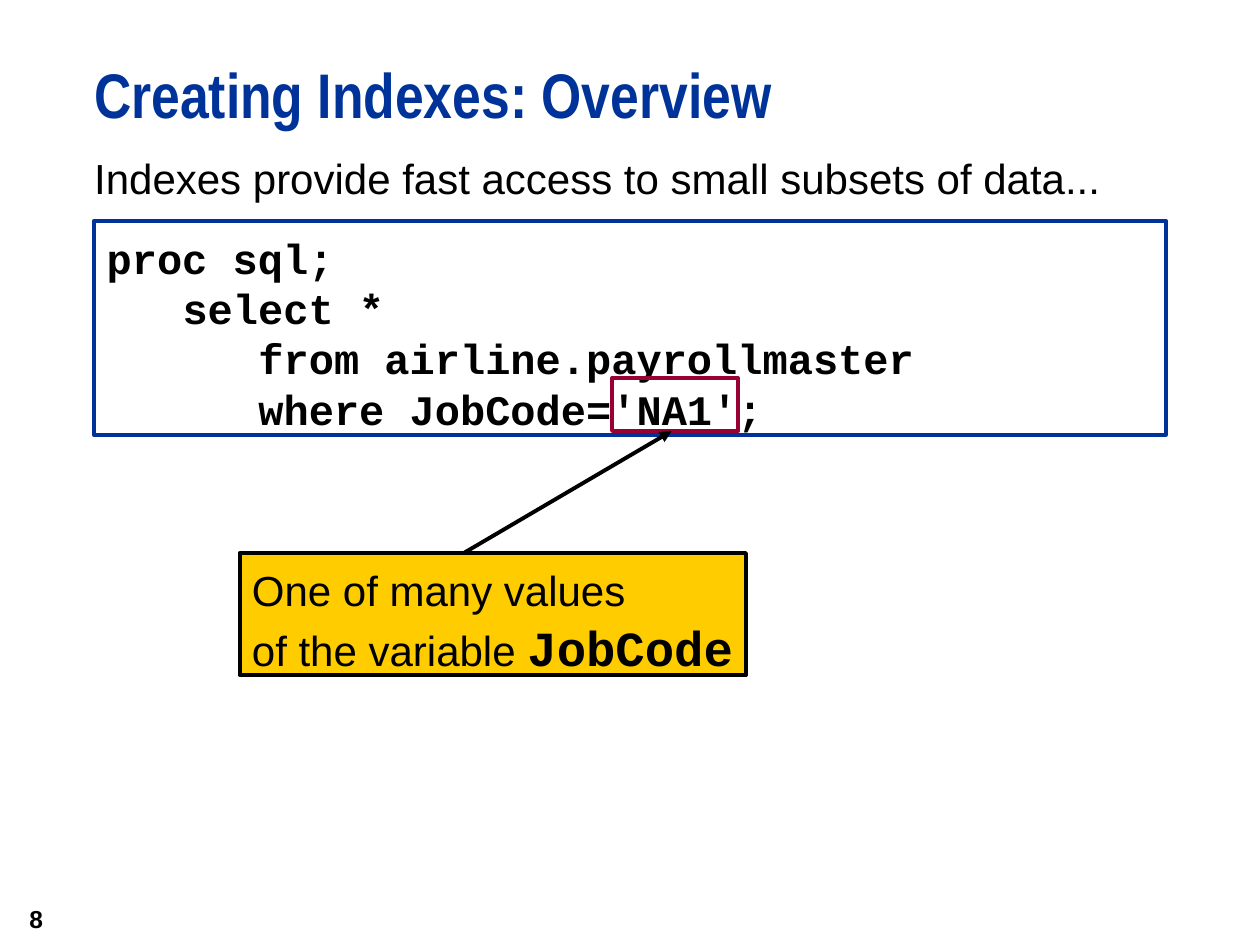
from dataclasses import dataclass
from typing import Optional

from pptx import Presentation
from pptx import util as u
from pptx.dml.color import RGBColor
from pptx.enum import shapes, text
from pptx.oxml.ns import qn
from lxml import etree

BLUE = RGBColor(0x00, 0x33, 0x99)
BLACK = RGBColor(0, 0, 0)
WHITE = RGBColor(255, 255, 255)
WINE = RGBColor(0x99, 0x00, 0x33)
GOLD = RGBColor(0xFF, 0xCC, 0x00)
SANS, MONO = "Arial", "Courier New"
RULE = u.Pt(2.24)
STEP = 0.51  # width of one code character in cm


@dataclass
class Run:
    words: str
    size: float = 24
    font: str = SANS
    bold: bool = False
    color: RGBColor = BLACK


@dataclass
class Box:
    x: float
    y: float
    w: float
    h: float
    line: Optional[RGBColor] = None
    fill: Optional[RGBColor] = None


def add_box(slide, box: Box):
    """Draw a plain text box, or a rectangle when it has a line."""
    area = [u.Cm(v) for v in (box.x, box.y, box.w, box.h)]
    if box.line is None:
        return slide.shapes.add_textbox(*area)
    rect = slide.shapes.add_shape(shapes.MSO_SHAPE.RECTANGLE, *area)
    rect.shadow.inherit = False
    rect.line.color.rgb = box.line
    rect.line.width = RULE
    if box.fill is None:
        rect.fill.background()
    else:
        rect.fill.solid()
        rect.fill.fore_color.rgb = box.fill
    return rect


def set_frame(shape, side: float = 0, top: float = 0, wrap: bool = True,
              anchor=text.MSO_ANCHOR.TOP):
    frame = shape.text_frame
    frame.word_wrap = wrap
    frame.auto_size = text.MSO_AUTO_SIZE.NONE
    frame.vertical_anchor = anchor
    frame.margin_left = frame.margin_right = u.Cm(side)
    frame.margin_top, frame.margin_bottom = u.Cm(top), u.Cm(0)
    return frame


def add_runs(par, runs: list[Run], space=None, align=text.PP_ALIGN.LEFT):
    par.alignment = align
    par.line_spacing = space
    for item in runs:
        for n, part in enumerate(item.words.split("\n")):
            if n:
                par.add_line_break()
            run = par.add_run()
            run.text = part
            run.font.name = item.font
            run.font.size = u.Pt(item.size)
            run.font.bold = item.bold
            run.font.color.rgb = item.color


deck = Presentation()
deck.slide_width, deck.slide_height = u.Cm(25.4), u.Cm(19.05)
slide = deck.slides.add_slide(deck.slide_layouts[6])

# Title and lead sentence
title = set_frame(add_box(slide, Box(1.9, 1.27, 23.5, 1.9)))
add_runs(title.paragraphs[0],
         [Run("Creating Indexes: Overview", 36, "Arial Narrow", True, BLUE)], u.Pt(39))
lead = set_frame(add_box(slide, Box(1.9, 3.07, 21.8, 1.2)))
add_runs(lead.paragraphs[0],
         [Run("Indexes provide fast access to small subsets of data...")])

# Code listing, indented by character steps
CODE = [
    (0, "proc sql;"),
    (3, "select *"),
    (6, "from airline.payrollmaster"),
    (6, "where JobCode='NA1';"),
]
code = set_frame(add_box(slide, Box(1.9, 4.45, 21.6, 4.32, BLUE, WHITE)), 0.25, 0.23)
for n, (depth, words) in enumerate(CODE):
    par = code.paragraphs[0] if n == 0 else code.add_paragraph()
    add_runs(par, [Run(words, font=MONO, bold=True)], u.Pt(28.8))
    props = par._p.get_or_add_pPr()
    props.set("marL", str(u.Cm(depth * STEP)))
    props.set("indent", "0")

# Frame around the value, and the arrow to it
add_box(slide, Box(12.34, 7.62, 2.54, 1.07, WINE))
arrow = slide.shapes.add_connector(
    shapes.MSO_CONNECTOR.STRAIGHT, u.Cm(9.09), u.Cm(11.3), u.Cm(13.54), u.Cm(8.69))
arrow.line.color.rgb = BLACK
arrow.line.width = RULE
etree.SubElement(arrow.line._get_or_add_ln(), qn("a:tailEnd"), type="triangle")
etree.SubElement(arrow._element.spPr, qn("a:effectLst"))

# Callout
note = set_frame(add_box(slide, Box(4.83, 11.15, 10.21, 2.46, BLACK, GOLD)),
                 0.25, 0.18, False)
add_runs(note.paragraphs[0],
         [Run("One of many values\nof the variable "), Run("JobCode", 28, MONO, True)], 1.05)

# Page number
page = set_frame(add_box(slide, Box(0, 17.98, 1.12, 1.07)), 0.25,
                 anchor=text.MSO_ANCHOR.MIDDLE)
add_runs(page.paragraphs[0], [Run("8", 14, bold=True)], align=text.PP_ALIGN.RIGHT)

deck.save("out.pptx")
